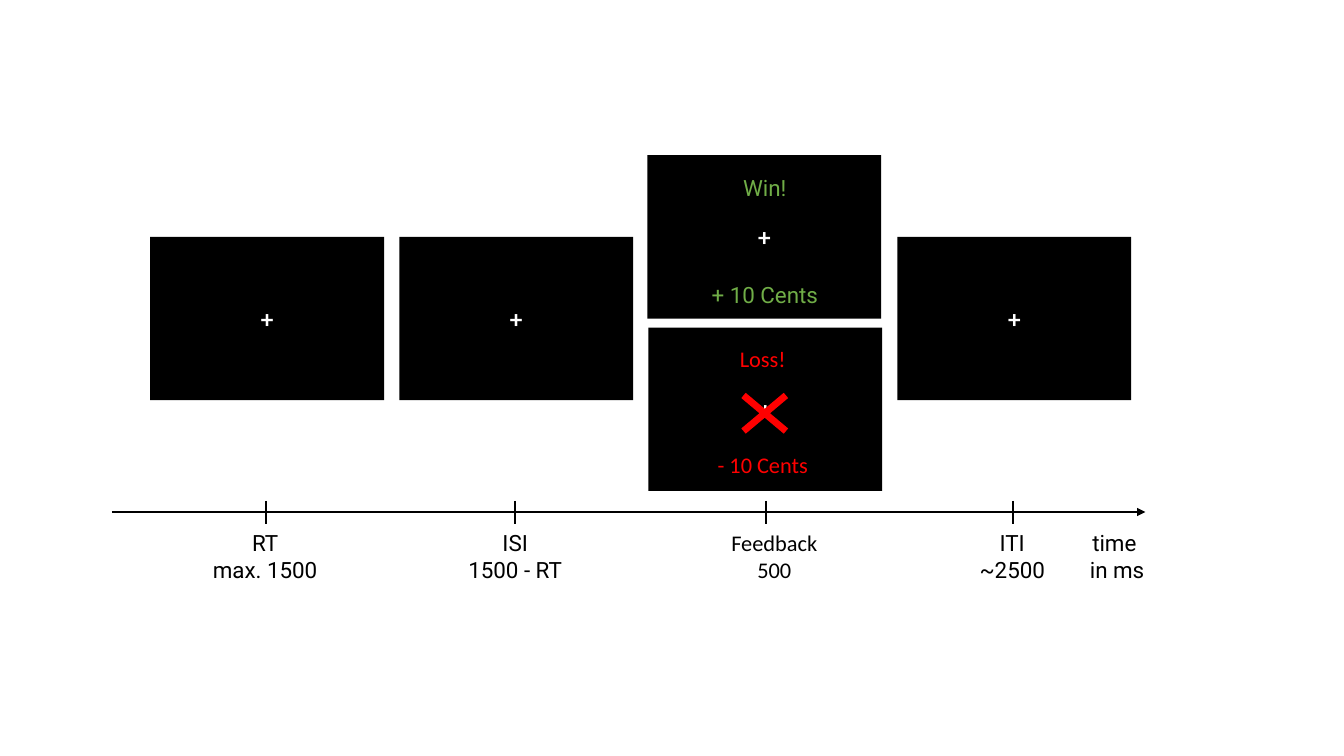
"""Build the trial timeline slide."""
from typing import NamedTuple

from pptx import Presentation
from pptx.dml.color import RGBColor
from pptx.enum.shapes import MSO_CONNECTOR, MSO_SHAPE
from pptx.enum.text import MSO_ANCHOR, PP_ALIGN
from pptx.oxml.ns import qn
from pptx.util import Inches, Pt
from lxml.etree import SubElement


class Screen(NamedTuple):
    """A black display with a fixation cross."""
    left: float
    top: float


class Label(NamedTuple):
    """Centred lines of text in a box."""
    left: float
    top: float
    width: float
    height: float
    lines: tuple[str, ...]
    font: str = "Roboto"
    color: str = "000000"
    gap: float = 0


STEP = 2.47
SCREENS = [Screen(1.49 + STEP * i, 2.35) for i in (0, 1, 3)] + [
    Screen(6.42, 1.54), Screen(6.43, 3.25)]
RESULTS = [
    Label(6.87, 3.37, 1.39, 1.75, ("Loss!", "- 10 Cents"), "Calibri", "FF0000", 57),
    Label(6.89, 1.68, 1.39, 1.75, ("Win!", "+ 10 Cents"), "Roboto", "70AD47", 57),
]
PHASES = [
    Label(left, 5.2, 1.66, 0.91, lines, font)
    for left, lines, font in (
        (1.8, ("RT", "max. 1500"), "Roboto"),
        (4.28, ("ISI", "1500 - RT"), "Roboto"),
        (6.85, ("Feedback", "500"), "Calibri"),
        (9.21, ("ITI", "~2500"), "Roboto"),
        (10.25, ("time ", "in ms"), "Roboto"),
    )
]
TICKS = (2.64, 5.11, 7.6, 10.05)
AXIS = 5.08


def paint(color, value: str) -> None:
    """Set a colour from a hex string."""
    color.rgb = RGBColor.from_string(value)


def write(frame, lines: tuple[str, ...], *, font: str, size: float,
          color: str, bold: bool = False, gap: float = 0) -> None:
    """Fill a text frame with centred lines."""
    frame.word_wrap = True
    for i, line in enumerate(lines):
        para = frame.paragraphs[0] if i == 0 else frame.add_paragraph()
        para.alignment = PP_ALIGN.CENTER
        if i and gap:
            para.space_before = Pt(gap)
        run = para.add_run()
        run.text = line
        run.font.name, run.font.size, run.font.bold = font, Pt(size), bold
        paint(run.font.color, color)


def block(slide, kind, left: float, top: float, width: float,
          height: float, color: str):
    """Add a plain filled shape."""
    shape = slide.shapes.add_shape(
        kind, Inches(left), Inches(top), Inches(width), Inches(height))
    shape.shadow.inherit = False
    shape.fill.solid()
    paint(shape.fill.fore_color, color)
    shape.line.fill.background()
    return shape


def screen(slide, item: Screen) -> None:
    """Draw one display."""
    shape = block(slide, MSO_SHAPE.RECTANGLE, *item, 2.32, 1.62, "000000")
    shape.text_frame.vertical_anchor = MSO_ANCHOR.MIDDLE
    write(shape.text_frame, ("+",), font="Calibri", size=18,
          color="FFFFFF", bold=True)


def label(slide, item: Label) -> None:
    """Draw one text box."""
    box = slide.shapes.add_textbox(
        Inches(item.left), Inches(item.top),
        Inches(item.width), Inches(item.height))
    write(box.text_frame, item.lines, font=item.font, size=16,
          color=item.color, gap=item.gap)


def rule(slide, x1: float, y1: float, x2: float, y2: float,
         arrow: bool = False) -> None:
    """Draw a black line, with an arrowhead if asked."""
    line = slide.shapes.add_connector(
        MSO_CONNECTOR.STRAIGHT, Inches(x1), Inches(y1), Inches(x2), Inches(y2))
    paint(line.line.color, "000000")
    line.line.width = Pt(1.5)
    if arrow:
        SubElement(line.line._get_or_add_ln(), qn("a:tailEnd"), type="triangle")
    SubElement(line._element.spPr, qn("a:effectLst"))


def main() -> None:
    """Build and save the deck."""
    deck = Presentation()
    deck.slide_width, deck.slide_height = Inches(13.33), Inches(7.5)
    slide = deck.slides.add_slide(deck.slide_layouts[6])
    rule(slide, 1.11, AXIS, 11.36, AXIS, arrow=True)
    for item in SCREENS:
        screen(slide, item)
    cross = block(slide, MSO_SHAPE.MATH_MULTIPLY, 7.18, 3.76, 0.81, 0.68, "FF0000")
    cross.adjustments[0] = 0.1
    for x in TICKS:
        rule(slide, x, AXIS - 0.11, x, AXIS + 0.12)
    for item in RESULTS + PHASES:
        label(slide, item)
    deck.save("out.pptx")


if __name__ == "__main__":
    main()
